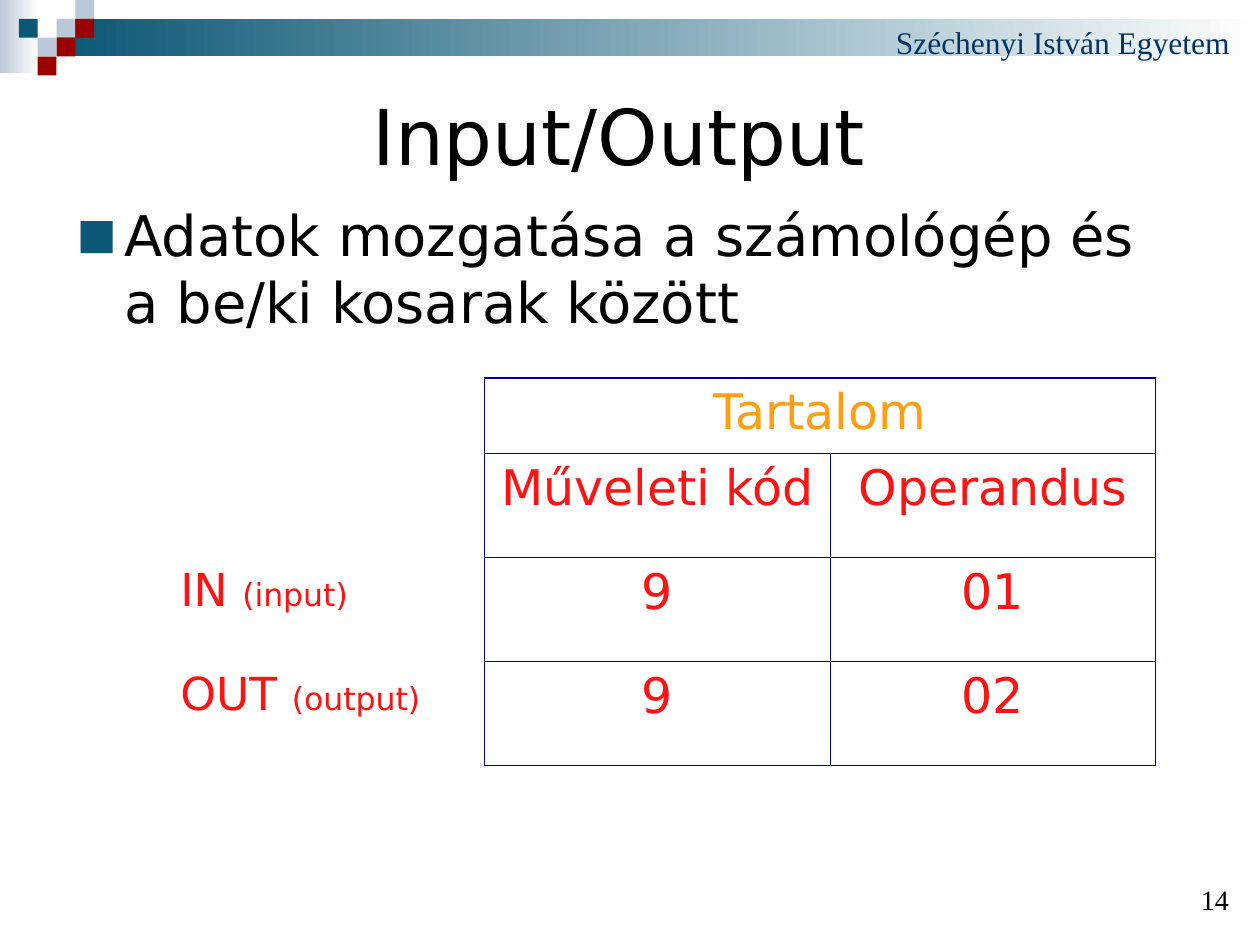
import lxml.etree
import pptx
import pptx.dml.color
import pptx.enum.shapes
import pptx.enum.text
import pptx.oxml.ns
import pptx.util

Cm = pptx.util.Cm
Pt = pptx.util.Pt
ALIGN = pptx.enum.text.PP_ALIGN
ANCHOR = pptx.enum.text.MSO_ANCHOR

TEAL, GREY, DARK_RED = "0B5775", "BBC8D7", "990000"
NAVY, WHITE, BLACK = "000080", "FFFFFF", "000000"
RED, ORANGE = "FD1313", "FF9F11"
SANS, SERIF = "DejaVu Sans", "Times New Roman"


def rgb(value):
    return pptx.dml.color.RGBColor.from_string(value)


def add_xml(parent, tag, **attributes):
    return lxml.etree.SubElement(parent, pptx.oxml.ns.qn(tag), attributes)


def write(tf, text, size=28, color=BLACK, font=SANS, align=ALIGN.LEFT):
    """Append a formatted run to the first paragraph."""
    p = tf.paragraphs[0]
    p.alignment = align
    r = p.add_run()
    r.text = text
    r.font.size = Pt(size)
    r.font.name = font
    r.font.color.rgb = rgb(color)
    return p


class Deck:
    def __init__(self, width, height):
        self.prs = pptx.Presentation()
        self.prs.slide_width, self.prs.slide_height = Cm(width), Cm(height)
        self.s = self.prs.slides.add_slide(self.prs.slide_layouts[6])

    def rect(self, x, y, w, h, color, fade_to=None):
        sp = self.s.shapes.add_shape(
            pptx.enum.shapes.MSO_SHAPE.RECTANGLE, Cm(x), Cm(y), Cm(w), Cm(h))
        sp.shadow.inherit = False
        sp.line.fill.background()
        if fade_to:
            sp.fill.gradient()
            sp.fill.gradient_angle = 0
            for stop, value in zip(sp.fill.gradient_stops, (color, fade_to)):
                stop.color.rgb = rgb(value)
        else:
            sp.fill.solid()
            sp.fill.fore_color.rgb = rgb(color)

    def text(self, x, y, w, h, text, anchor=ANCHOR.TOP, **style):
        tf = self.s.shapes.add_textbox(Cm(x), Cm(y), Cm(w), Cm(h)).text_frame
        tf.word_wrap = True
        tf.vertical_anchor = anchor
        return write(tf, text, **style)

    def bullet(self, p, color, indent):
        pPr = p._p.get_or_add_pPr()
        pPr.set("marL", str(Cm(indent)))
        pPr.set("indent", str(-Cm(indent)))
        add_xml(add_xml(pPr, "a:buClr"), "a:srgbClr", val=color)
        add_xml(pPr, "a:buSzPct", val="75000")
        add_xml(pPr, "a:buFont", typeface=SANS)
        add_xml(pPr, "a:buChar", char="■")

    def table(self, x, y, widths, heights):
        frame = self.s.shapes.add_table(
            len(heights), len(widths), Cm(x), Cm(y),
            Cm(sum(widths)), Cm(sum(heights)))
        table = frame.table
        table.first_row = table.horz_banding = False
        for column, width in zip(table.columns, widths):
            column.width = Cm(width)
        for row, height in zip(table.rows, heights):
            row.height = Cm(height)
        return table

    def borders(self, cell, **colors):
        tcPr = cell._tc.get_or_add_tcPr()
        for side in "LRTB":
            color = colors[side]
            width = Pt(0.75 if color == NAVY else 0.45)
            ln = lxml.etree.Element(pptx.oxml.ns.qn(f"a:ln{side}"), w=str(width))
            add_xml(add_xml(ln, "a:solidFill"), "a:srgbClr", val=color)
            tcPr.append(ln)
        cell.fill.background()


def main():
    deck = Deck(25.4, 19.05)

    # Header bands and squares on a common grid
    unit = 0.38
    deck.rect(0, 0, 0.79, 1.47, GREY, fade_to=WHITE)
    deck.rect(3 * unit, unit, 25.4 - 3 * unit, 2 * unit, TEAL, fade_to=WHITE)
    for col, row, color in [(3, 1, GREY), (4, 0, GREY), (4, 1, DARK_RED),
                            (2, 2, GREY), (1, 1, TEAL), (3, 2, DARK_RED),
                            (2, 3, DARK_RED)]:
        deck.rect(col * unit, row * unit, unit, unit, color)
    deck.text(17.81, 0.33, 7.59, 1.02, "Széchenyi István Egyetem",
              size=18, font=SERIF, color="003366")

    # Slide number
    deck.text(22.1, 17.73, 2.92, 0.86, "14", anchor=ANCHOR.BOTTOM,
              size=16, font=SERIF, align=ALIGN.RIGHT)

    # Title and body
    deck.text(1.3, 1.73, 22.86, 1.96, "Input/Output ", anchor=ANCHOR.MIDDLE,
              size=44, align=ALIGN.CENTER)
    p = deck.text(1.3, 3.91, 22.83, 12.37,
                  "Adatok mozgatása a számológép és a be/ki kosarak között",
                  size=32)
    deck.bullet(p, TEAL, 0.96)

    # Instruction table: the two left columns are unframed labels
    table = deck.table(3.38, 7.62, [5.77, 0.61, 6.98, 6.55],
                       [1.52, 2.1, 2.1, 2.1])
    for row in range(4):
        for col in range(4):
            side = NAVY if col > 1 else WHITE
            deck.borders(table.cell(row, col), L=side, T=side, B=side,
                         R=NAVY if col else WHITE)
    table.cell(0, 2).merge(table.cell(0, 3))
    write(table.cell(0, 2).text_frame, "Tartalom", color=ORANGE,
          align=ALIGN.CENTER)
    rows = [("", "", "Műveleti kód", "Operandus"),
            ("IN ", "(input)", "9", "01"),
            ("OUT ", "(output)", "9", "02")]
    for row, (name, meaning, code, operand) in enumerate(rows, 1):
        if name:
            tf = table.cell(row, 0).text_frame
            write(tf, name, size=26, color=RED)
            write(tf, meaning, size=18, color=RED)
        for col, value in ((2, code), (3, operand)):
            write(table.cell(row, col).text_frame, value, color=RED,
                  align=ALIGN.CENTER)

    deck.prs.save("out.pptx")


if __name__ == "__main__":
    main()
